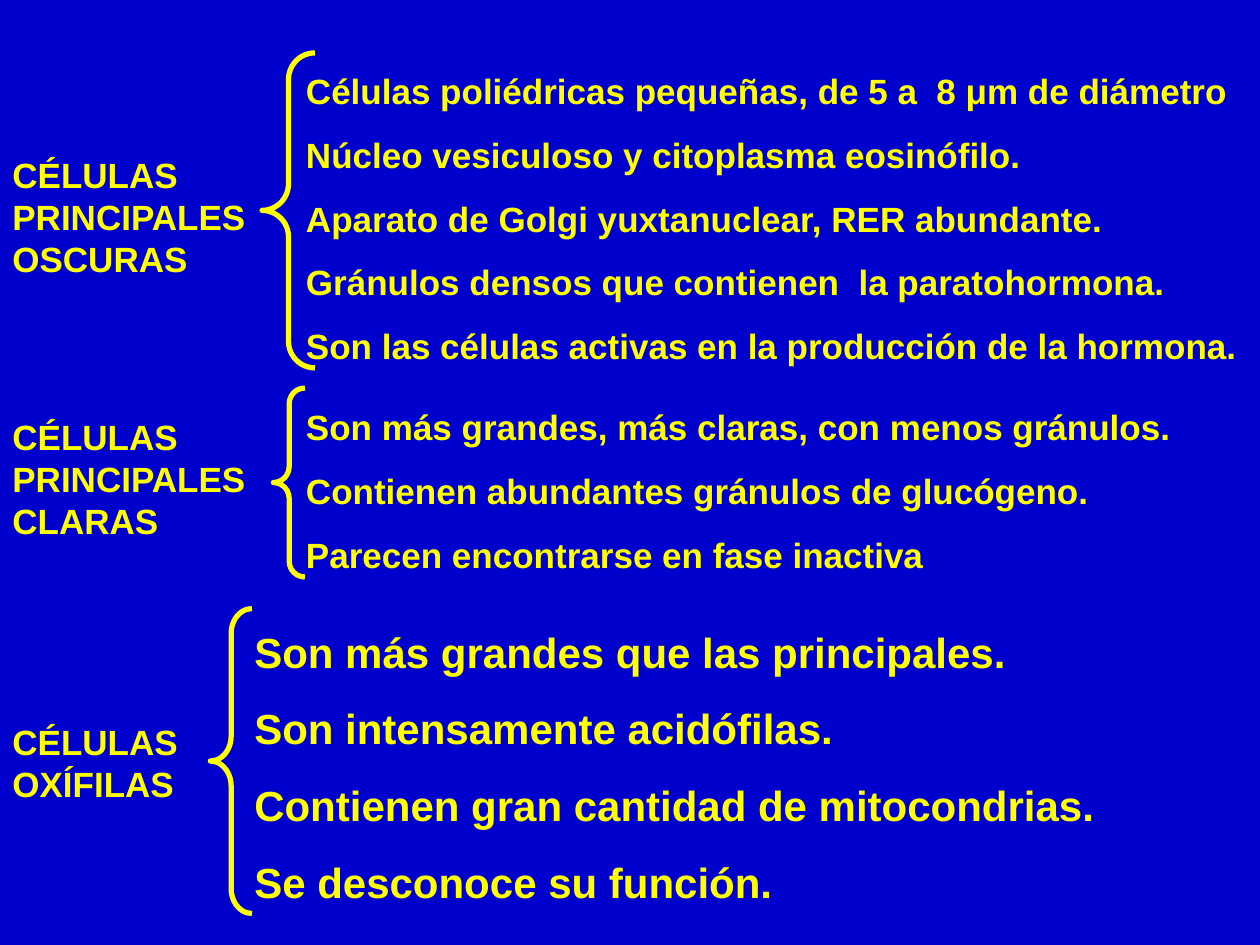
from dataclasses import dataclass

import pptx
import pptx.dml.color
import pptx.enum.shapes
import pptx.enum.text
import pptx.util
from pptx.util import Inches

COLORS = {"background": "0000CC", "text": "FFFF00"}
FONT = "Arial"
LABEL_SIZE = 20


@dataclass
class Box:
    left: float
    top: float
    width: float
    height: float

    def emu(self) -> list:
        return [Inches(v) for v in (self.left, self.top, self.width, self.height)]


@dataclass
class CellGroup:
    label: str
    label_box: Box
    brace_box: Box
    curl: float
    traits: list[str]
    traits_box: Box
    size: int


GROUPS = [
    CellGroup(
        "CÉLULAS PRINCIPALES OSCURAS",
        Box(0, 1.17, 2.17, 1.1),
        Box(2.08, 0.42, 0.42, 2.5),
        0.5,
        [
            "Células poliédricas pequeñas, de 5 a  8 μm de diámetro",
            "Núcleo vesiculoso y citoplasma eosinófilo.",
            "Aparato de Golgi yuxtanuclear, RER abundante.",
            "Gránulos densos que contienen  la paratohormona.",
            "Son las células activas en la producción de la hormona.",
        ],
        Box(2.33, 0.5, 7.92, 2.46),
        20,
    ),
    CellGroup(
        "CÉLULAS PRINCIPALES CLARAS",
        Box(0, 3.25, 2.83, 1.1),
        Box(2.17, 3.08, 0.25, 1.5),
        0.5,
        [
            "Son más grandes, más claras, con menos gránulos.",
            "Contienen abundantes gránulos de glucógeno.",
            "Parecen encontrarse en fase inactiva",
        ],
        Box(2.33, 3.17, 7.58, 1.45),
        20,
    ),
    CellGroup(
        "CÉLULAS OXÍFILAS",
        Box(0, 5.67, 2.83, 0.77),
        Box(1.67, 4.83, 0.33, 2.42),
        0.6,
        [
            "Son más grandes que las principales.",
            "Son intensamente acidófilas.",
            "Contienen gran cantidad de mitocondrias.",
            "Se desconoce su función.",
        ],
        Box(1.92, 4.92, 7.67, 2.33),
        24,
    ),
]


def rgb(name: str) -> pptx.dml.color.RGBColor:
    return pptx.dml.color.RGBColor.from_string(COLORS[name])


def add_text(s, lines: list[str], *, box: Box, size: int, color: str = "text", bold: bool = True) -> None:
    tf = s.shapes.add_textbox(*box.emu()).text_frame
    tf.word_wrap = True
    tf.auto_size = pptx.enum.text.MSO_AUTO_SIZE.SHAPE_TO_FIT_TEXT
    for i, line in enumerate(lines):
        p = tf.add_paragraph() if i else tf.paragraphs[0]
        if i:
            p.space_before = pptx.util.Pt(size * 0.625)
        r = p.add_run()
        r.text = line
        r.font.name = FONT
        r.font.size = pptx.util.Pt(size)
        r.font.bold = bold
        r.font.color.rgb = rgb(color)


def add_brace(s, box: Box, curl: float) -> None:
    sp = s.shapes.add_shape(pptx.enum.shapes.MSO_SHAPE.LEFT_BRACE, *box.emu())
    sp.adjustments[0] = curl
    sp.adjustments[1] = 0.5
    sp.shadow.inherit = False
    sp.fill.background()
    sp.line.color.rgb = rgb("text")
    sp.line.width = pptx.util.Pt(3)


def main() -> None:
    prs = pptx.Presentation()
    prs.slide_width = Inches(10)
    prs.slide_height = Inches(7.5)
    s = prs.slides.add_slide(prs.slide_layouts[6])
    s.background.fill.solid()
    s.background.fill.fore_color.rgb = rgb("background")
    for group in GROUPS:
        add_text(s, [group.label], box=group.label_box, size=LABEL_SIZE)
        add_brace(s, group.brace_box, group.curl)
        add_text(s, group.traits, box=group.traits_box, size=group.size)
    prs.save("out.pptx")


if __name__ == "__main__":
    main()
